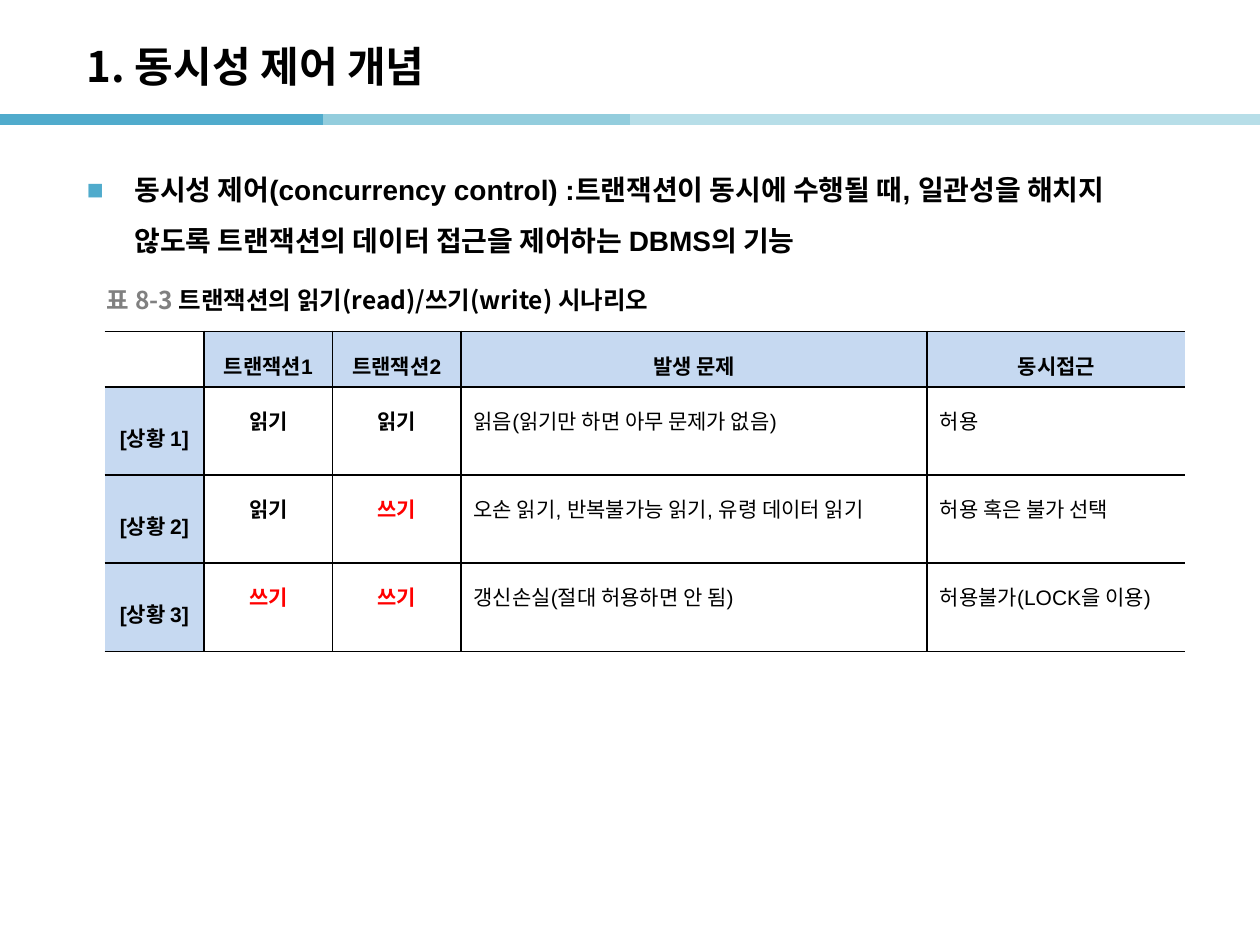
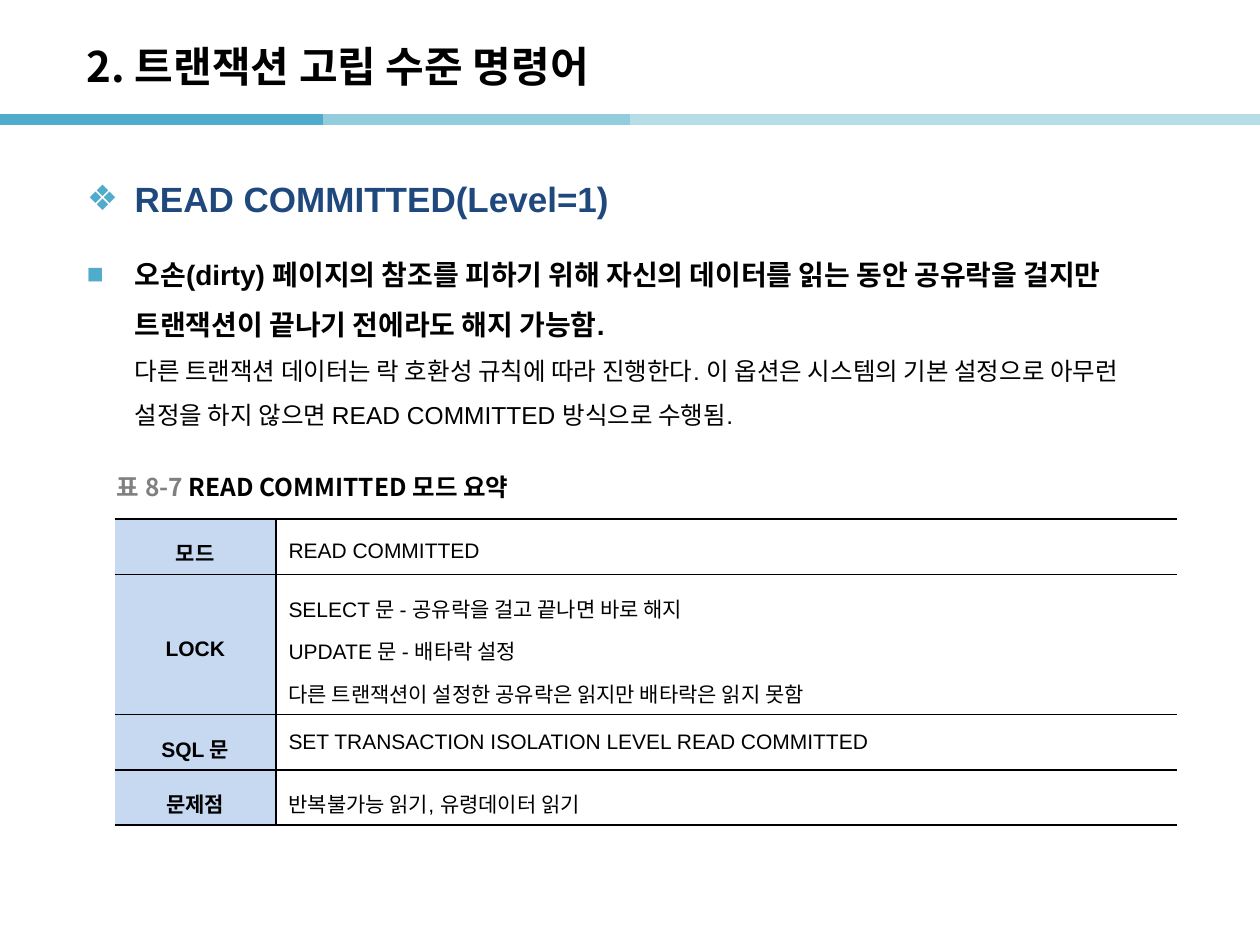
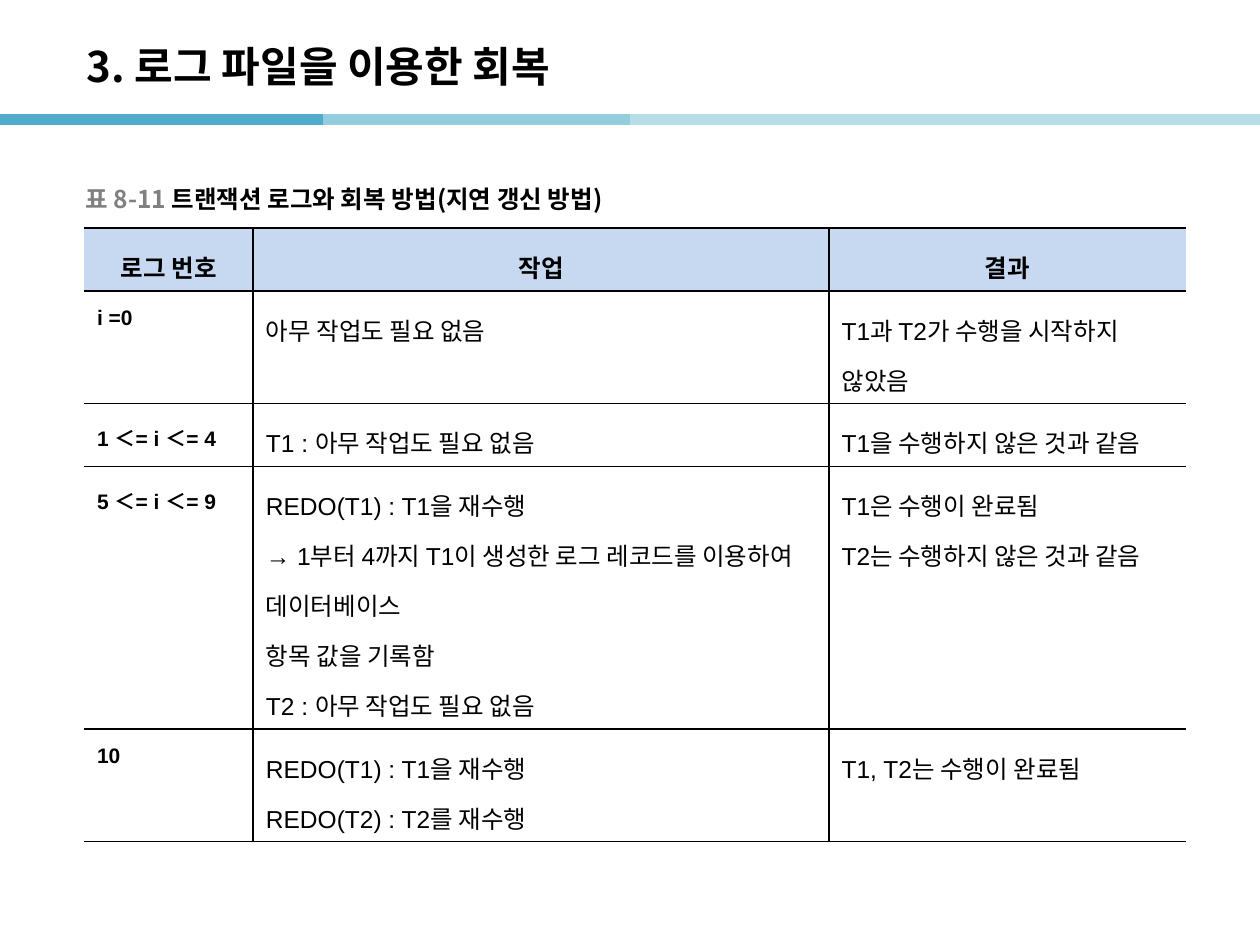
from lxml import etree
from pptx import Presentation
from pptx.dml.color import RGBColor
from pptx.enum.shapes import MSO_CONNECTOR
from pptx.enum.text import MSO_ANCHOR, PP_ALIGN
from pptx.oxml.ns import qn
from pptx.util import Inches, Pt

STRAIGHT = MSO_CONNECTOR.STRAIGHT
TOP, MIDDLE = MSO_ANCHOR.TOP, MSO_ANCHOR.MIDDLE
LEFT, CENTER, JUSTIFY = PP_ALIGN.LEFT, PP_ALIGN.CENTER, PP_ALIGN.JUSTIFY

BLACK = RGBColor(0x00, 0x00, 0x00)
WHITE = RGBColor(0xFF, 0xFF, 0xFF)
RED = RGBColor(0xFF, 0x00, 0x00)
GRAY = RGBColor(0x80, 0x80, 0x80)
NAVY = RGBColor(0x1F, 0x49, 0x7D)
HEADER_BLUE = RGBColor(0xC6, 0xD9, 0xF1)
TEAL = RGBColor(0x50, 0xAB, 0xCC)
LIGHT_TEAL = RGBColor(0x93, 0xCD, 0xDD)
PALE_TEAL = RGBColor(0xB7, 0xDE, 0xE8)

BODY_FONT, KOREAN_FONT = "Arial", "Noto Sans CJK KR"
MARGIN, BODY_WIDTH, BODY_TOP = 0.59, 8.82, 1.19
BAND_TOP, BAND_LENGTH = 0.95, 2.56
BANDS = [(0, TEAL), (2.56, LIGHT_TEAL), (5, PALE_TEAL), (7.46, PALE_TEAL)]
INDENT = 0.38

# Each bullet: mark, top, height, alignment, spans of (text, size, bold, colour)
SLIDES = [
    {
        "title": "1. 동시성 제어 개념",
        "bullets": [
            ("■", BODY_TOP, 5.98, LEFT, [
                ("동시성 제어(concurrency control) :트랜잭션이 동시에 수행될 때, "
                 "일관성을 해치지 않도록 트랜잭션의 데이터 접근을 제어하는 DBMS의 기능",
                 16, True, BLACK)]),
        ],
        "caption": (0.75, 2.22, "표 8-3 ", "트랜잭션의 읽기(read)/쓰기(write) 시나리오"),
        "table": {
            "at": (0.83, 2.63),
            "columns": [0.79, 1.02, 1.02, 3.7, 2.05],
            "heights": [0.44, 0.7, 0.7, 0.7],
            "has_header": True, "bold_columns": 3, "centered_columns": 3,
            "bold_size": 12, "plain_size": 12,
            "shaded_column": True, "middle": {(1, 0), (2, 0), (3, 0)},
            "rows": [
                ["", "트랜잭션1", "트랜잭션2", "발생 문제", "동시접근"],
                ["[상황 1]", "읽기", "읽기", "읽음(읽기만 하면 아무 문제가 없음)", "허용"],
                ["[상황 2]", "읽기", "쓰기", "오손 읽기, 반복불가능 읽기, 유령 데이터 읽기",
                 "허용 혹은 불가 선택"],
                ["[상황 3]", "쓰기", "쓰기", "갱신손실(절대 허용하면 안 됨)",
                 "허용불가(LOCK을 이용)"],
            ],
        },
    },
    {
        "title": "2. 트랜잭션 고립 수준 명령어",
        "bullets": [
            ("❖", BODY_TOP, 0.52, JUSTIFY,
             [("READ COMMITTED(Level=1)", 20, True, NAVY)]),
            ("■", 1.86, 5.28, LEFT, [
                ("오손(dirty) 페이지의 참조를 피하기 위해 자신의 데이터를 읽는 동안 "
                 "공유락을 걸지만 트랜잭션이 끝나기 전에라도 해지 가능함.", 16, True, BLACK),
                ("다른 트랜잭션 데이터는 락 호환성 규칙에 따라 진행한다. 이 옵션은 "
                 "시스템의 기본 설정으로 아무런 설정을 하지 않으면 READ COMMITTED "
                 "방식으로 수행됨.", 14, False, BLACK)]),
        ],
        "caption": (0.83, 3.71, "표 8-7 ", "READ COMMITTED 모드 요약"),
        "table": {
            "at": (0.91, 4.12),
            "columns": [1.28, 7.15],
            "heights": [0.44, 1.11, 0.44, 0.44],
            "has_header": False, "bold_columns": 1, "centered_columns": 1,
            "bold_size": 12, "plain_size": 12,
            "shaded_column": True, "middle": {(0, 1), (1, 0), (2, 0), (3, 0)},
            "rows": [
                ["모드", "READ COMMITTED"],
                ["LOCK", "SELECT 문 - 공유락을 걸고 끝나면 바로 해지\n"
                         "UPDATE 문 - 배타락 설정\n"
                         "다른 트랜잭션이 설정한 공유락은 읽지만 배타락은 읽지 못함"],
                ["SQL 문", "SET TRANSACTION ISOLATION LEVEL READ COMMITTED"],
                ["문제점", "반복불가능 읽기, 유령데이터 읽기"],
            ],
        },
    },
    {
        "title": "3. 로그 파일을 이용한 회복",
        "bullets": [],
        "caption": (0.58, 1.42, "표 8-11 ", "트랜잭션 로그와 회복 방법(지연 갱신 방법)"),
        "table": {
            "at": (0.67, 1.81),
            "columns": [1.34, 4.57, 2.83],
            "heights": [0.5, 0.89, 0.5, 2.08, 0.89],
            "has_header": True, "bold_columns": 1, "centered_columns": 0,
            "bold_size": 12, "plain_size": 14,
            "shaded_column": False, "middle": set(),
            "rows": [
                ["로그 번호", "작업", "결과"],
                ["i =0", "아무 작업도 필요 없음", "T1과 T2가 수행을 시작하지 않았음"],
                ["1 ＜= i ＜= 4", "T1 : 아무 작업도 필요 없음", "T1을 수행하지 않은 것과 같음"],
                ["5 ＜= i ＜= 9",
                 "REDO(T1) : T1을 재수행\n"
                 "→ 1부터 4까지 T1이 생성한 로그 레코드를 이용하여 데이터베이스\n"
                 "항목 값을 기록함\n"
                 "T2 : 아무 작업도 필요 없음",
                 "T1은 수행이 완료됨\nT2는 수행하지 않은 것과 같음"],
                ["10", "REDO(T1) : T1을 재수행\nREDO(T2) : T2를 재수행",
                 "T1, T2는 수행이 완료됨"],
            ],
        },
    },
]


def add_span(para, text, size, bold=True, color=BLACK, font_name=BODY_FONT):
    span = para.add_run()
    span.text = text
    font = span.font
    font.size, font.bold, font.name = Pt(size), bold, font_name
    font.color.rgb = color
    east_asian = etree.SubElement(font._element, qn("a:ea"))
    east_asian.set("typeface", KOREAN_FONT)


def add_title(slide, text):
    title = slide.shapes.title
    title.left, title.top = Inches(MARGIN), Inches(0.22)
    title.width, title.height = Inches(8.27), Inches(0.6)
    frame = title.text_frame
    frame.vertical_anchor = MIDDLE
    para = frame.paragraphs[0]
    para.alignment = LEFT
    add_span(para, text, 24, font_name=KOREAN_FONT)


def add_bands(slide):
    for start, color in BANDS:
        band = slide.shapes.add_connector(
            STRAIGHT, Inches(start), Inches(BAND_TOP),
            Inches(start + BAND_LENGTH), Inches(BAND_TOP))
        band.line.color.rgb = color
        band.line.width = Pt(6)
        etree.SubElement(band._element.spPr, qn("a:effectLst"))


def add_box(slide, left, top, width, height):
    box = slide.shapes.add_textbox(*map(Inches, (left, top, width, height)))
    box.text_frame.word_wrap = True
    return box.text_frame


def add_bullet(slide, mark, top, height, alignment, spans):
    para = add_box(slide, MARGIN, top, BODY_WIDTH, height).paragraphs[0]
    para.alignment = alignment
    para.line_spacing = 1.5
    properties = para._p.get_or_add_pPr()
    properties.set("marL", str(Inches(INDENT)))
    properties.set("indent", str(-Inches(INDENT)))
    bullet_color = etree.SubElement(properties, qn("a:buClr"))
    etree.SubElement(bullet_color, qn("a:srgbClr")).set("val", str(TEAL))
    etree.SubElement(properties, qn("a:buFont")).set("typeface", BODY_FONT)
    etree.SubElement(properties, qn("a:buChar")).set("char", mark)
    for index, span in enumerate(spans):
        if index:
            para.add_line_break()
        add_span(para, *span)


def add_caption(slide, left, top, number, text):
    frame = add_box(slide, left, top, 5.5, 0.31)
    frame.vertical_anchor = MIDDLE
    para = frame.paragraphs[0]
    add_span(para, number, 14, color=GRAY, font_name=KOREAN_FONT)
    add_span(para, text, 14, font_name=KOREAN_FONT)


def set_borders(cell, is_first, is_last):
    """Rule every side of the cell except the table's outer left and right."""
    properties = cell._tc.get_or_add_tcPr()
    visible = {"a:lnL": not is_first, "a:lnR": not is_last, "a:lnT": True, "a:lnB": True}
    for tag, shown in visible.items():
        line = etree.SubElement(properties, qn(tag), w=str(Pt(1)))
        if shown:
            fill = etree.SubElement(line, qn("a:solidFill"))
            etree.SubElement(fill, qn("a:srgbClr")).set("val", str(BLACK))
        else:
            etree.SubElement(line, qn("a:noFill"))


def fill_cell(cell, text, row, column, data):
    is_header = data["has_header"] and row == 0
    is_bold = is_header or column < data["bold_columns"]
    is_centered = is_header or column < data["centered_columns"]
    is_shaded = is_header or (data["shaded_column"] and column == 0)
    set_borders(cell, column == 0, column == len(data["columns"]) - 1)
    if not text:
        cell.fill.background()
        return
    cell.fill.solid()
    cell.fill.fore_color.rgb = HEADER_BLUE if is_shaded else WHITE
    cell.vertical_anchor = MIDDLE if is_header or (row, column) in data["middle"] else TOP
    size = data["bold_size"] if is_bold and not is_header else data["plain_size"]
    frame = cell.text_frame
    for index, line in enumerate(text.split("\n")):
        para = frame.add_paragraph() if index else frame.paragraphs[0]
        para.alignment = CENTER if is_centered else LEFT
        para.line_spacing = 1.4
        add_span(para, line, size, is_bold, RED if line == "쓰기" else BLACK)


def add_data_table(slide, data):
    columns, heights = data["columns"], data["heights"]
    left, top = data["at"]
    table = slide.shapes.add_table(
        len(heights), len(columns), Inches(left), Inches(top),
        Inches(sum(columns)), Inches(sum(heights))).table
    table.first_row = table.horz_banding = False
    for column, width in zip(table.columns, columns):
        column.width = Inches(width)
    for row, height in zip(table.rows, heights):
        row.height = Inches(height)
    for row, texts in enumerate(data["rows"]):
        for column, text in enumerate(texts):
            fill_cell(table.cell(row, column), text, row, column, data)


def main():
    deck = Presentation()
    deck.slide_width, deck.slide_height = Inches(10), Inches(7.5)
    title_only = deck.slide_layouts[5]
    for content in SLIDES:
        slide = deck.slides.add_slide(title_only)
        add_bands(slide)
        add_title(slide, content["title"])
        for bullet in content["bullets"]:
            add_bullet(slide, *bullet)
        add_data_table(slide, content["table"])
        add_caption(slide, *content["caption"])
    deck.save("out.pptx")


if __name__ == "__main__":
    main()
